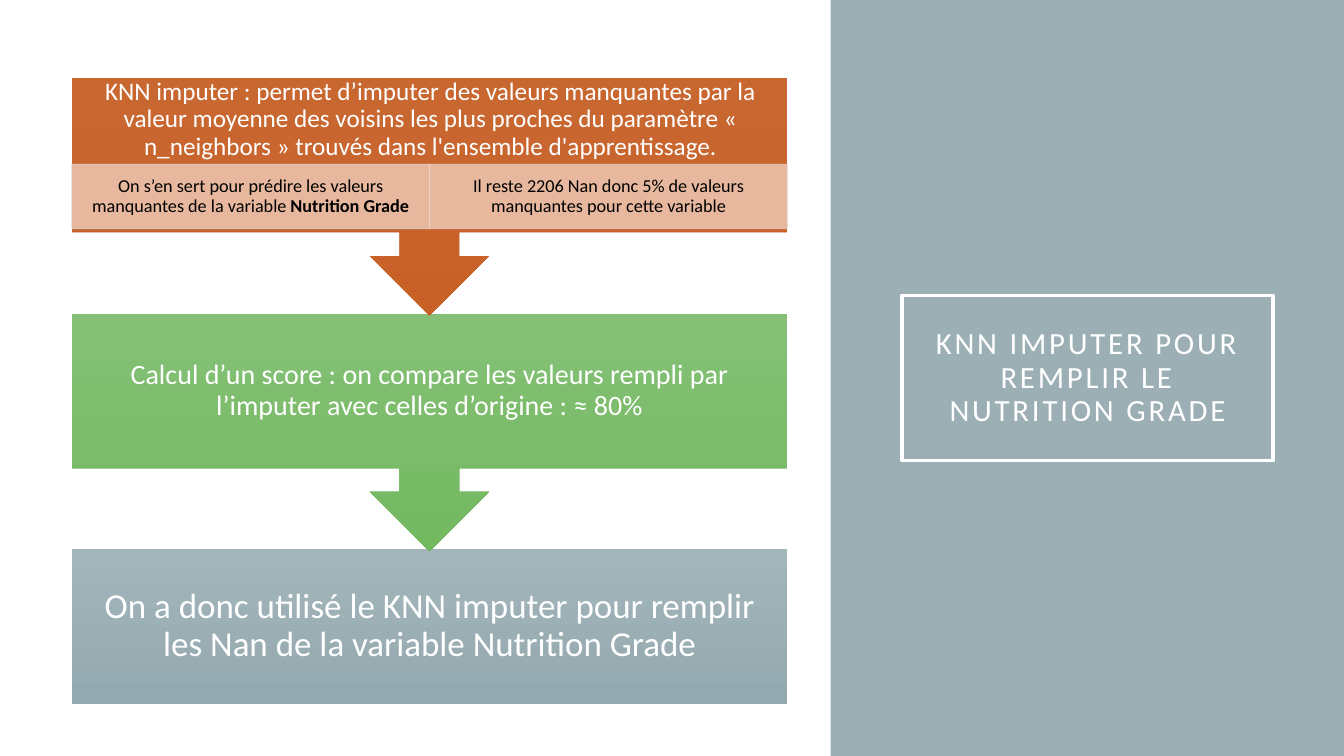
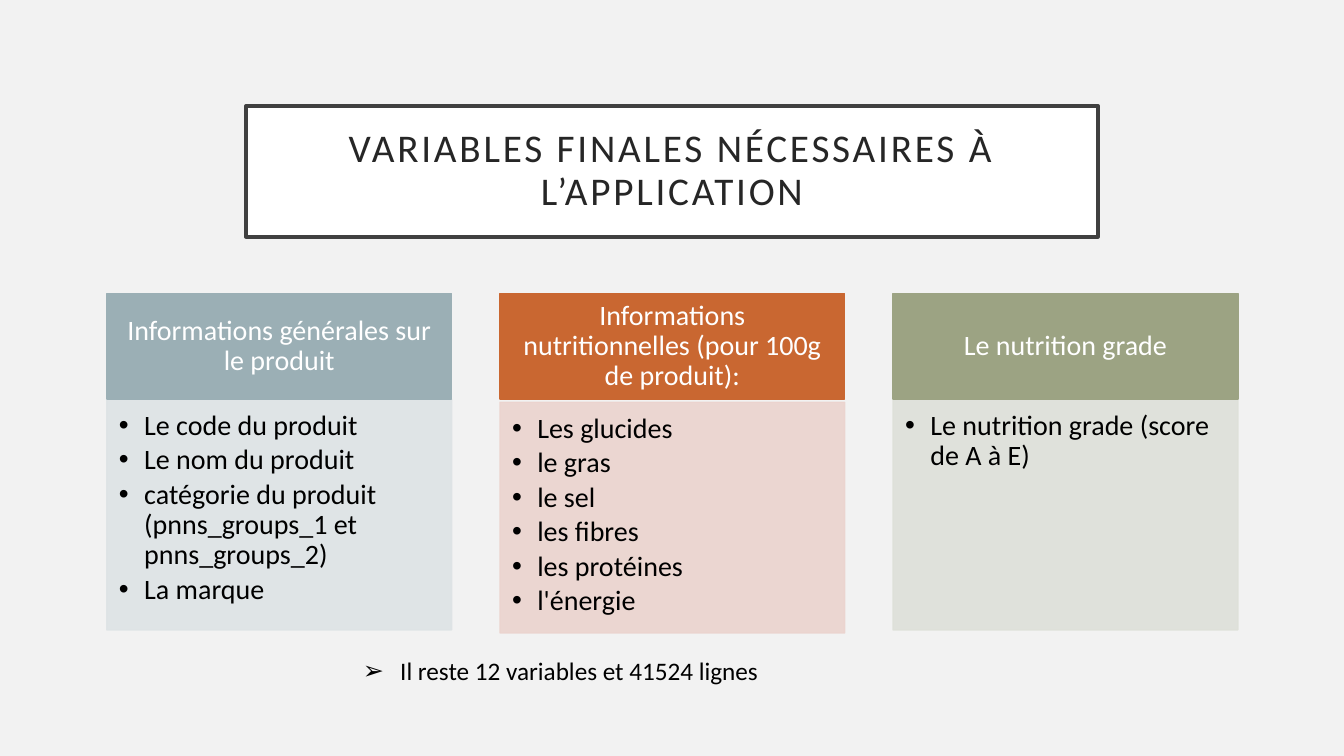
from lxml.etree import SubElement
from pptx import Presentation
from pptx.dml.color import RGBColor
from pptx.enum.shapes import MSO_SHAPE
from pptx.enum.text import MSO_ANCHOR, MSO_AUTO_SIZE, PP_ALIGN
from pptx.oxml.ns import qn
from pptx.util import Inches, Pt

FONT = "Calibri"
WHITE = RGBColor(0xFF, 0xFF, 0xFF)
BLACK = RGBColor(0x00, 0x00, 0x00)
PAPER = RGBColor(0xF2, 0xF2, 0xF2)
FRAME = RGBColor(0x40, 0x40, 0x40)
TITLE_INK = RGBColor(0x26, 0x26, 0x26)
SLATE = RGBColor(0x9B, 0xAF, 0xB5)
SLATE_LIGHT = RGBColor(0xA3, 0xB5, 0xBB)
SLATE_DARK = RGBColor(0x93, 0xA9, 0xAF)
SLATE_PALE = RGBColor(0xDE, 0xE3, 0xE5)
GREEN_LIGHT = RGBColor(0x85, 0xC0, 0x76)
GREEN_DARK = RGBColor(0x73, 0xB9, 0x60)
ORANGE = RGBColor(0xC9, 0x67, 0x31)
ORANGE_DARK = RGBColor(0xC8, 0x61, 0x28)
ORANGE_PALE = RGBColor(0xEB, 0xD3, 0xCE)
PEACH = RGBColor(0xEB, 0xC2, 0xAB)
OLIVE = RGBColor(0x9C, 0xA3, 0x83)
OLIVE_PALE = RGBColor(0xDE, 0xE0, 0xD9)

deck = Presentation()
deck.slide_width, deck.slide_height = Inches(13.33), Inches(7.5)
COLUMN, ROW = deck.slide_width / 100, deck.slide_height / 100
TITLE_ONLY, COMPARISON = deck.slide_layouts[5], deck.slide_layouts[4]


def paint(box, cell, fills=(), line=None, weight=1.0, opacity=100):
    """Place box on the 100 x 100 grid; two fills make a vertical gradient."""
    left, top, width, height = cell
    box.left, box.width = int(left * COLUMN), int(width * COLUMN)
    box.top, box.height = int(top * ROW), int(height * ROW)
    box.shadow.inherit = False
    if len(fills) == 2:
        box.fill.gradient()
        box.fill.gradient_angle = 270
        for stop, colour in zip(box.fill.gradient_stops, fills):
            stop.color.rgb = colour
    elif fills:
        box.fill.solid()
        box.fill.fore_color.rgb = fills[0]
    else:
        box.fill.background()
    if line is None:
        box.line.fill.background()
    else:
        box.line.color.rgb = line
        box.line.width = Pt(weight)
    if opacity < 100:
        for colour in box.element.spPr.iter(qn("a:srgbClr")):
            SubElement(colour, qn("a:alpha"), val=str(opacity * 1000))


def write(box, paragraphs, size, colour, insets, bullet=None, indent=0.25,
          anchor=MSO_ANCHOR.MIDDLE, spacing=0.9, tracking=0):
    """Fill box with paragraphs, each a list of runs; odd runs are bold."""
    frame = box.text_frame
    frame.word_wrap = True
    frame.auto_size = MSO_AUTO_SIZE.NONE
    frame.vertical_anchor = anchor
    (frame.margin_left, frame.margin_top,
     frame.margin_right, frame.margin_bottom) = map(Inches, insets)
    for number, runs in enumerate(paragraphs):
        para = frame.add_paragraph() if number else frame.paragraphs[0]
        para.alignment = PP_ALIGN.LEFT if bullet else PP_ALIGN.CENTER
        para.line_spacing = spacing
        para.space_before = Pt(0)
        para.space_after = Pt(3 if bullet else 0)
        if bullet:
            layout = para._p.get_or_add_pPr()
            layout.set("marL", str(Inches(indent)))
            layout.set("indent", str(-Inches(indent)))
            SubElement(layout, qn("a:buChar"), char=bullet)
        for position, text in enumerate(runs):
            span = para.add_run()
            span.text = text
            span.font.name = FONT
            span.font.size = Pt(size)
            span.font.bold = position % 2 == 1
            span.font.color.rgb = colour
            if tracking:
                span._r.get_or_add_rPr().set("spc", str(tracking * 100))


# Slide 1: imputation steps beside a title panel
page = deck.slides.add_slide(TITLE_ONLY)
title = page.shapes.title
panel = page.shapes.add_shape(MSO_SHAPE.RECTANGLE, 0, 0, 0, 0)
title.element.addprevious(panel.element)
paint(panel, (61.8, 0, 38.2, 100), [SLATE])
paint(title, (67.13, 39.07, 27.6, 21.87), line=WHITE, weight=2.5)
write(title, [["KNN IMPUTER POUR REMPLIR LE NUTRITION GRADE"]], 22, WHITE,
      [0.2] * 4, tracking=2)

STEP_LEFT, STEP_WIDTH = 5.33, 53.25
STEP_TOP, STEP_PITCH = 10.27, 31.2
CALLOUT = MSO_SHAPE.DOWN_ARROW_CALLOUT
steps = [
    (CALLOUT, 31.47, [ORANGE, ORANGE_DARK], 18, (0.14, 0.14, 0.12, 0.84),
     "KNN imputer : permet d’imputer des valeurs manquantes par la valeur "
     "moyenne des voisins les plus proches du paramètre « n_neighbors » "
     "trouvés dans l'ensemble d'apprentissage."),
    (CALLOUT, 31.47, [GREEN_LIGHT, GREEN_DARK], 20, [0.16] * 4,
     "Calcul d’un score : on compare les valeurs rempli par l’imputer avec "
     "celles d’origine : ≈ 80%"),
    (MSO_SHAPE.RECTANGLE, 20.4, [SLATE_LIGHT, SLATE_DARK], 25, [0.19] * 4,
     "On a donc utilisé le KNN imputer pour remplir les Nan de la variable "
     "Nutrition Grade"),
]
# From the last step up, so that each arrow tip lies over the next box
for number, step in reversed(list(enumerate(steps))):
    kind, height, fills, size, insets, text = step
    box = page.shapes.add_shape(kind, 0, 0, 0, 0)
    paint(box, (STEP_LEFT, STEP_TOP + number * STEP_PITCH, STEP_WIDTH, height),
          fills)
    write(box, [[text]], size, WHITE, insets)

details = [
    (SLATE_PALE, ["On s’en sert pour prédire les valeurs manquantes de la "
                  "variable ", "Nutrition Grade"]),
    (ORANGE_PALE, ["Il reste 2206 Nan donc 5% de valeurs manquantes pour "
                   "cette variable"]),
]
half = STEP_WIDTH / len(details)
for number, (edge, runs) in enumerate(details):
    box = page.shapes.add_shape(MSO_SHAPE.RECTANGLE, 0, 0, 0, 0)
    paint(box, (STEP_LEFT + number * half, 21.73, half, 8.53), [PEACH], edge,
          weight=0.5, opacity=90)
    write(box, [runs], 13, BLACK, (0.1, 0.02, 0.1, 0.02))

# Slide 2: final variables in three columns
page = deck.slides.add_slide(COMPARISON)
page.background.fill.solid()
page.background.fill.fore_color.rgb = PAPER
title, *lists, note = page.placeholders
paint(title, (18.3, 14, 63.4, 17.33), [WHITE], FRAME, weight=2.5)
write(title, [["VARIABLES FINALES NÉCESSAIRES À L’APPLICATION"]], 28,
      TITLE_INK, [0.2] * 4, tracking=2)

groups = [
    ("Informations générales sur le produit", SLATE, SLATE_PALE, 52.8,
     ["Le code du produit", "Le nom du produit",
      "catégorie du produit (pnns_groups_1 et pnns_groups_2)", "La marque"]),
    ("Informations nutritionnelles (pour 100g de produit):", ORANGE,
     ORANGE_PALE, 53.2,
     ["Les glucides", "le gras", "le sel", "les fibres", "les protéines",
      "l'énergie"]),
    ("Le nutrition grade", OLIVE, OLIVE_PALE, 52.8,
     ["Le nutrition grade (score de A à E)"]),
]
GROUP_LEFT, GROUP_PITCH, GROUP_WIDTH = 7.95, 29.25, 25.65
for number, (heading, colour, pale, top, items) in enumerate(groups):
    left = GROUP_LEFT + number * GROUP_PITCH
    header = page.shapes.add_shape(MSO_SHAPE.RECTANGLE, 0, 0, 0, 0)
    paint(header, (left, 38.8, GROUP_WIDTH, 14), [colour], colour)
    write(header, [[heading]], 20, WHITE, (0.16, 0.09, 0.16, 0.09))
    body = lists[number]
    paint(body, (left, top, GROUP_WIDTH, 30.53), [pale], pale, opacity=90)
    write(body, [[item] for item in items], 20, BLACK,
          (0.12, 0.12, 0.16, 0.17), bullet="•", anchor=MSO_ANCHOR.TOP)

paint(note, (26.25, 86, 50, 5.33))
write(note, [["Il reste 12 variables et 41524 lignes"]], 18, BLACK,
      (0.1, 0.05, 0.1, 0.05), bullet="➢", indent=0.37,
      anchor=MSO_ANCHOR.TOP, spacing=1.0)

deck.save("out.pptx")
